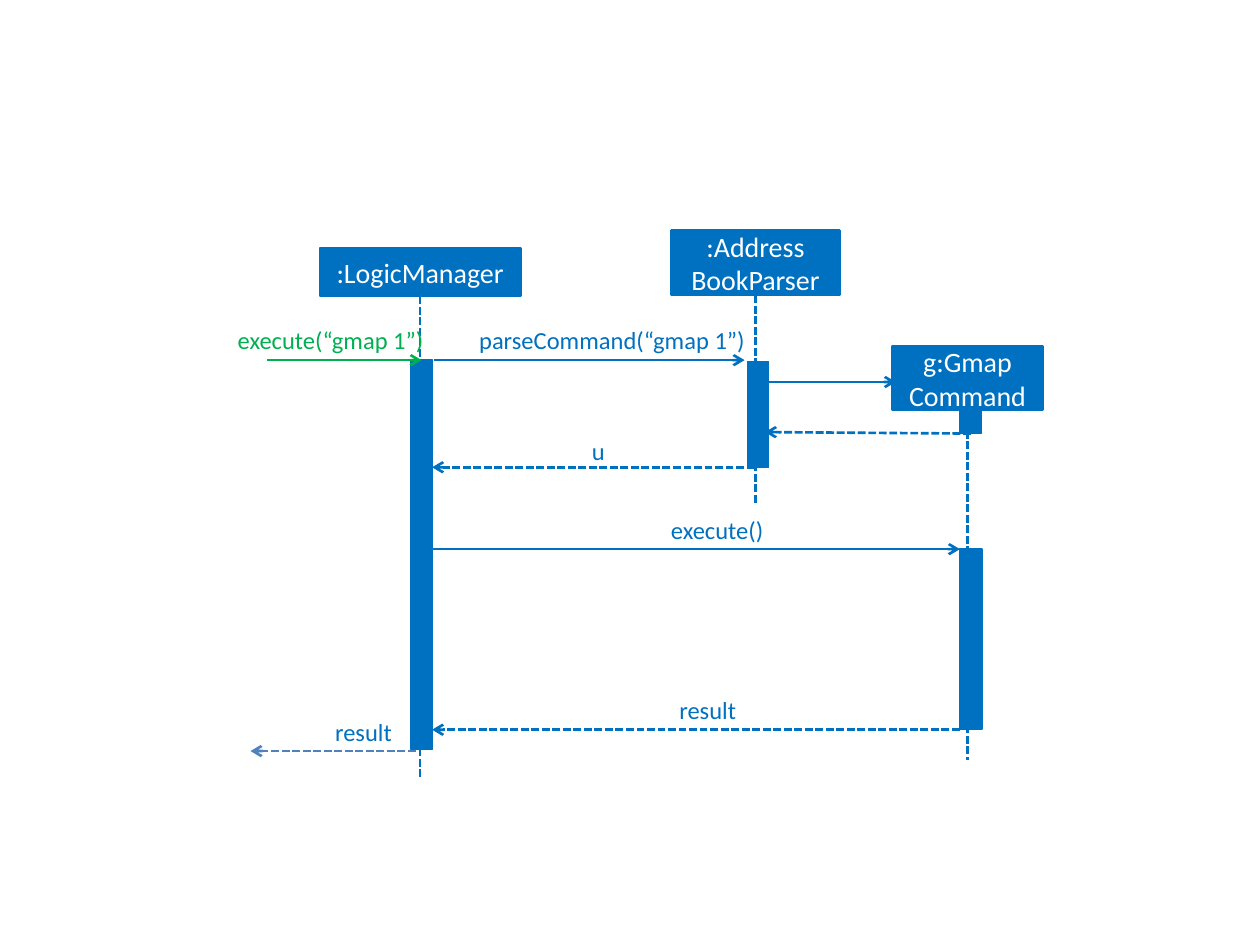
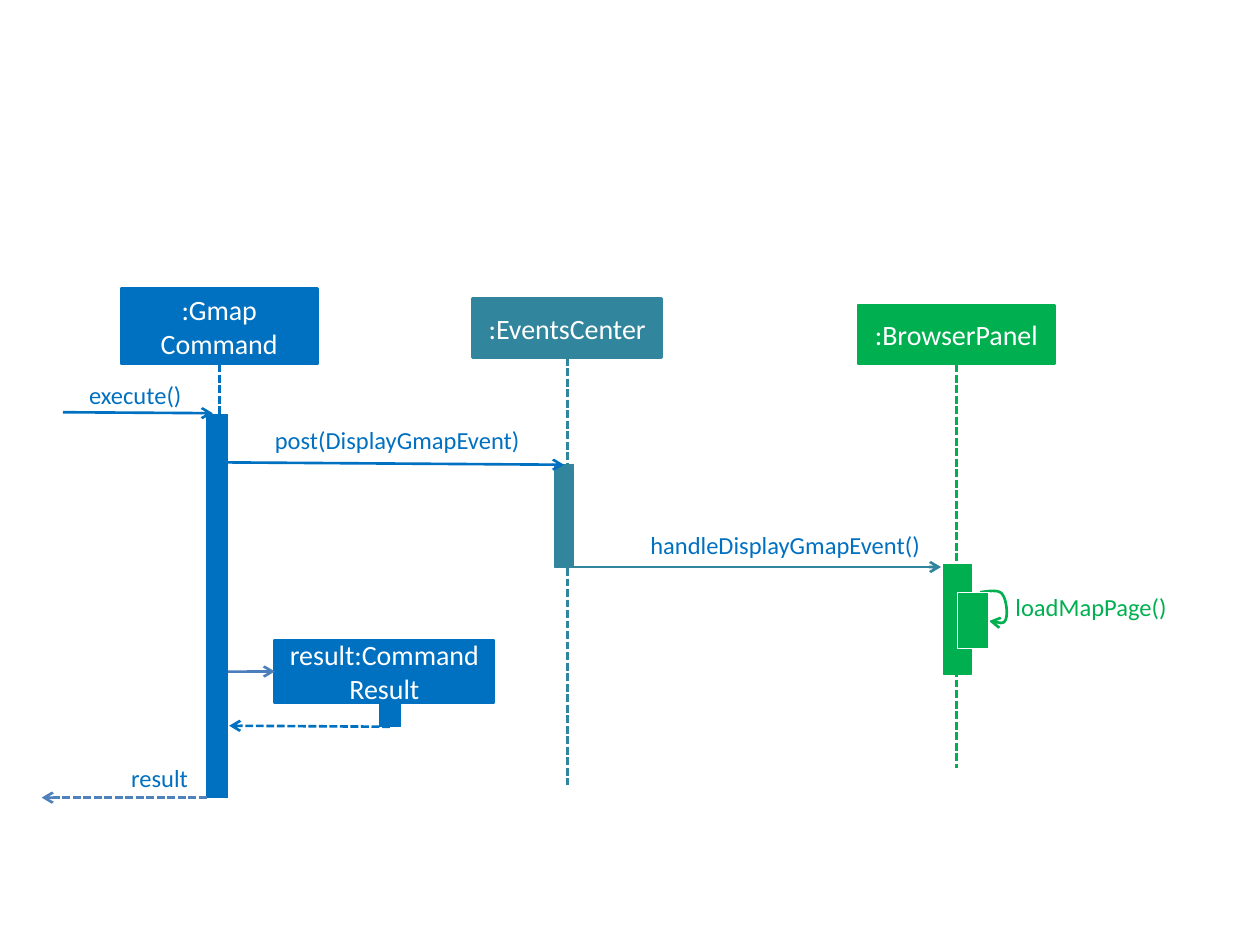
from dataclasses import dataclass

from lxml import etree
from pptx import Presentation
from pptx.dml.color import RGBColor
from pptx.enum.dml import MSO_LINE
from pptx.enum.shapes import MSO_CONNECTOR as Link, MSO_SHAPE as Preset
from pptx.enum.text import MSO_ANCHOR as Anchor, MSO_AUTO_SIZE as AutoSize, PP_ALIGN as Align
from pptx.oxml.ns import qn
from pptx.util import Cm, Pt

TOP, LEFT, BOTTOM = 0, 1, 2


@dataclass(frozen=True)
class Theme:
    font: str = "Calibri"
    head_size: int = 16
    label_size: int = 14
    line: float = 1.5
    thin: float = 0.75
    blue: str = "0070C0"
    green: str = "00B050"
    teal: str = "31859C"
    pale_blue: str = "4F81BD"
    soft_blue: str = "4B7EBC"
    white: str = "FFFFFF"


class SequenceDiagram:
    def __init__(self, deck, theme):
        self.deck = deck
        self.theme = theme
        self.page = None

    def new_page(self):
        self.page = self.deck.slides.add_slide(self.deck.slide_layouts[6])

    def paint_line(self, line, colour, width):
        line.color.rgb = RGBColor.from_string(colour)
        line.width = Pt(width)

    def add_text(self, frame, texts, size, colour, align):
        for number, text in enumerate(texts):
            para = frame.add_paragraph() if number else frame.paragraphs[0]
            para.alignment = align
            span = para.add_run()
            span.text = text
            span.font.name = self.theme.font
            span.font.size = Pt(size)
            span.font.color.rgb = RGBColor.from_string(colour)

    def block(self, left, top, width, height, fill, edge, weight):
        box = self.page.shapes.add_shape(
            Preset.RECTANGLE, Cm(left), Cm(top), Cm(width), Cm(height))
        box.shadow.inherit = False
        box.fill.solid()
        box.fill.fore_color.rgb = RGBColor.from_string(fill)
        self.paint_line(box.line, edge, weight)
        return box

    def participant(self, left, top, width, height, texts, colour):
        box = self.block(left, top, width, height, colour, colour, self.theme.line)
        box.text_frame.word_wrap = True
        box.text_frame.vertical_anchor = Anchor.MIDDLE
        self.add_text(box.text_frame, texts, self.theme.head_size, self.theme.white, Align.CENTER)
        return box

    def activation(self, centre, top, height, colour, width=0.43, edge=None):
        return self.block(centre - width / 2, top, width, height,
                          colour, edge or colour, self.theme.thin)

    def connector(self, start, finish, colour, dashed):
        link = self.page.shapes.add_connector(
            Link.STRAIGHT, Cm(start[0]), Cm(start[1]), Cm(finish[0]), Cm(finish[1]))
        self.paint_line(link.line, colour, self.theme.line)
        if dashed:
            link.line.dash_style = MSO_LINE.SQUARE_DOT
        etree.SubElement(link._element.spPr, qn("a:effectLst"))
        return link

    def lifeline(self, head, bottom, colour):
        centre = (head.left + head.width / 2) / Cm(1)
        link = self.connector((centre, 0), (centre, bottom), colour, True)
        link.begin_connect(head, BOTTOM)

    def add_arrowhead(self, line):
        etree.SubElement(line._get_or_add_ln(), qn("a:tailEnd"), type="arrow")

    def message(self, start, finish, colour, dashed=False, source=None, target=None):
        link = self.connector(start, finish, colour, dashed)
        if source:
            link.begin_connect(*source)
        if target:
            link.end_connect(*target)
        self.add_arrowhead(link.line)

    def reply(self, start, finish, colour, source=None):
        self.message(start, finish, colour, True, source)

    def label(self, left, top, width, text, colour, align=Align.RIGHT):
        box = self.page.shapes.add_textbox(Cm(left), Cm(top), Cm(width), Cm(0.61))
        frame = box.text_frame
        frame.margin_left = frame.margin_right = frame.margin_top = frame.margin_bottom = 0
        frame.word_wrap = True
        frame.auto_size = AutoSize.SHAPE_TO_FIT_TEXT
        self.add_text(frame, [text], self.theme.label_size, colour, align)

    def self_call(self, start, curves, colour, steps=10):
        points = [start]
        for curve in curves:
            a, b, c, d = points[-1], *curve
            for step in range(1, steps + 1):
                t = step / steps
                u = 1 - t
                points.append(tuple(
                    u ** 3 * a[axis] + 3 * u * u * t * b[axis]
                    + 3 * u * t * t * c[axis] + t ** 3 * d[axis] for axis in (0, 1)))
        corners = [(Cm(x), Cm(y)) for x, y in points]
        builder = self.page.shapes.build_freeform(*corners[0])
        builder.add_line_segments(corners[1:], close=False)
        loop = builder.convert_to_shape()
        loop.shadow.inherit = False
        loop.fill.background()
        self.paint_line(loop.line, colour, self.theme.line)
        self.add_arrowhead(loop.line)


def draw_command_parsing(diagram):
    blue, green = diagram.theme.blue, diagram.theme.green
    manager_x, parser_x, command_x = 8.5, 15.28, 19.57
    diagram.new_page()

    manager = diagram.participant(6.45, 5, 4.04, 0.97, [":LogicManager"], blue)
    diagram.lifeline(manager, 15.67, blue)
    manager_bar = diagram.activation(manager_x, 7.26, 7.85, blue)
    parser = diagram.participant(13.54, 4.65, 3.38, 1.3, [":Address", "BookParser"], blue)
    diagram.lifeline(parser, 10.13, blue)
    diagram.activation(parser_x, 7.29, 2.13, blue)
    creation_bar = diagram.activation(command_x, 7.98, 0.76, blue)
    command = diagram.participant(17.98, 6.99, 3.05, 1.27, ["g:Gmap", "Command"], blue)
    diagram.lifeline(command, 15.32, blue)
    diagram.activation(command_x, 11.07, 3.63, blue, 0.46)

    diagram.message((5.38, 7.26), (manager_x, 7.26), green, target=(manager_bar, TOP))
    diagram.message((8.74, 7.26), (15.01, 7.26), blue)
    diagram.message((15.49, 7.7), (18.06, 7.7), blue)
    diagram.message((8.71, 11.07), (19.35, 11.07), blue)
    diagram.reply((command_x, 8.74), (15.42, 8.71), blue, (creation_bar, BOTTOM))
    diagram.reply((15.21, 9.42), (8.71, 9.42), blue)
    diagram.reply((19.35, 14.71), (8.71, 14.71), blue)
    diagram.reply((8.38, 15.14), (5.05, 15.14), diagram.theme.pale_blue)

    for left, top, width, text, colour in (
        (4.04, 6.55, 4.5, "execute(“gmap 1”)", green),
        (9.25, 6.55, 5.77, "parseCommand(“gmap 1”)", blue),
        (11.58, 8.79, 0.61, "u", blue),
        (13, 10.39, 2.39, "execute()", blue),
        (13.11, 14.02, 1.73, "result", blue),
        (5.79, 14.45, 2.11, "result", blue),
    ):
        diagram.label(left, top, width, text, colour)


def draw_command_execution(diagram):
    theme = diagram.theme
    blue, green, teal = theme.blue, theme.green, theme.teal
    command_x, result_x, events_x, panel_x = 4.38, 7.86, 11.37, 19.3
    diagram.new_page()

    command = diagram.participant(2.44, 5.82, 3.96, 1.52, [":Gmap", "Command"], blue)
    diagram.lifeline(command, 14.61, blue)
    diagram.activation(command_x, 8.36, 7.72, blue)
    panel = diagram.participant(17.3, 6.15, 3.96, 1.19, [":BrowserPanel"], green)
    diagram.lifeline(panel, 15.49, green)
    diagram.activation(panel_x, 11.38, 2.21, green, 0.56)
    events = diagram.participant(9.53, 6.02, 3.81, 1.19, [":EventsCenter"], teal)
    diagram.lifeline(events, 15.82, teal)
    events_bar = diagram.activation(events_x, 9.37, 2.06, teal, 0.38)
    result = diagram.participant(5.54, 12.9, 4.42, 1.27, ["result:Command Result"], blue)
    result_bar = diagram.activation(result_x, 14.17, 0.48, blue)

    diagram.message((1.27, 8.31), (4.29, 8.33), blue)
    diagram.message((command_x, 9.32), (events_x, 9.37), blue, target=(events_bar, TOP))
    diagram.message((11.51, 11.43), (18.97, 11.43), teal)
    diagram.message((4.6, 13.54), (5.54, 13.54), theme.soft_blue, target=(result, LEFT))
    diagram.reply((result_x, 14.65), (4.62, 14.63), blue, (result_bar, BOTTOM))
    diagram.reply((4.17, 16.08), (0.84, 16.08), theme.pale_blue)

    diagram.self_call((19.76, 11.94), [
        [(19.94, 11.91), (20.12, 11.89), (20.19, 11.96)],
        [(20.3, 12.07), (20.32, 12.42), (20.27, 12.5)],
        [(20.24, 12.6), (20.09, 12.55), (19.94, 12.52)],
    ], green)
    diagram.activation(19.62, 11.94, 1.14, green, 0.64, theme.white)

    for left, top, width, text, colour, align in (
        (-0.3, 7.67, 3.96, "execute()", blue, Align.RIGHT),
        (1.68, 15.39, 2.11, "result", blue, Align.RIGHT),
        (5.54, 8.56, 5.26, "post(DisplayGmapEvent)", blue, Align.LEFT),
        (13.11, 10.69, 5.87, "handleDisplayGmapEvent()", blue, Align.LEFT),
        (20.47, 11.94, 3.28, "loadMapPage()", green, Align.LEFT),
    ):
        diagram.label(left, top, width, text, colour, align)


def main():
    deck = Presentation()
    deck.slide_width = Cm(25.4)
    deck.slide_height = Cm(19.05)
    diagram = SequenceDiagram(deck, Theme())
    draw_command_parsing(diagram)
    draw_command_execution(diagram)
    deck.save("out.pptx")


if __name__ == "__main__":
    main()
